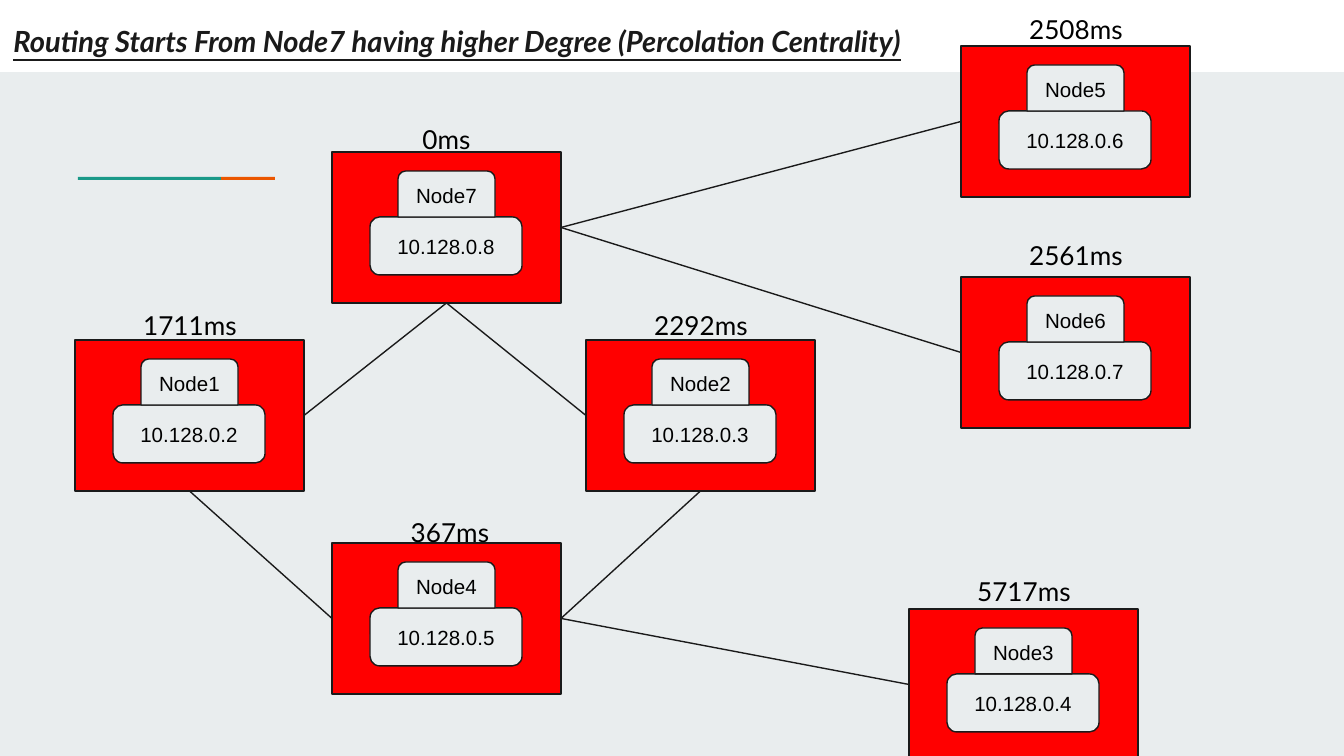
import pptx
import pptx.dml.color
import pptx.enum.shapes
import pptx.enum.text
import pptx.oxml
import pptx.oxml.ns
import pptx.util

PX = 914400 / 134.4
PAGE_WIDTH, PAGE_HEIGHT = 1344, 756
NODE_WIDTH, NODE_HEIGHT = 229, 151
INK, PALE, RED, WHITE, BLACK = "1A1A1A", "E9EDEE", "FF0000", "FFFFFF", "000000"
TEAL, ORANGE = "1A9988", "EB5600"
TOP, LEFT, BOTTOM, RIGHT = range(4)
SHAPES = pptx.enum.shapes.MSO_SHAPE
ALIGN = pptx.enum.text.PP_ALIGN
ANCHOR = pptx.enum.text.MSO_ANCHOR

# name: (left, top, address, delay, label left, label top, label width)
NODES = {
    "Node1": (75, 340, "10.128.0.2", "1711ms", 45, -44, 140),
    "Node4": (332, 543, "10.128.0.5", "367ms", 47, -40, 142),
    "Node7": (332, 152, "10.128.0.8", "0ms", 66, -42, 97),
    "Node2": (586, 340, "10.128.0.3", "2292ms", 45, -44, 140),
    "Node5": (961, 46, "10.128.0.6", "2508ms", 45, -46, 140),
    "Node6": (961, 277, "10.128.0.7", "2561ms", 45, -51, 140),
    "Node3": (909, 609, "10.128.0.4", "5717ms", 45, -47, 140),
}
LINKS = [
    ("Node1", RIGHT, "Node7", BOTTOM),
    ("Node2", LEFT, "Node7", BOTTOM),
    ("Node4", LEFT, "Node1", BOTTOM),
    ("Node4", RIGHT, "Node2", BOTTOM),
    ("Node7", RIGHT, "Node5", LEFT),
    ("Node7", RIGHT, "Node6", LEFT),
    ("Node4", RIGHT, "Node3", LEFT),
]


def px(*lengths):
    return [round(length * PX) for length in lengths]


def color(code):
    return pptx.dml.color.RGBColor.from_string(code)


def write(shape, text, size=11, font="Arial", ink=BLACK, align=ALIGN.CENTER,
          anchor=ANCHOR.MIDDLE, emphasis=False, spacing=1.0):
    frame = shape.text_frame
    frame.word_wrap = True
    frame.auto_size = pptx.enum.text.MSO_AUTO_SIZE.NONE
    frame.vertical_anchor = anchor
    inset = pptx.util.Inches(0.1)
    frame.margin_left = frame.margin_top = inset
    frame.margin_right = frame.margin_bottom = inset
    para = frame.paragraphs[0]
    para.alignment = align
    para.line_spacing = spacing
    span = para.add_run()
    span.text = text
    span.font.size = pptx.util.Pt(size)
    span.font.name = font
    span.font.color.rgb = color(ink)
    span.font.bold = span.font.italic = span.font.underline = emphasis


def add_box(page, box, fill, kind=SHAPES.RECTANGLE, line=None):
    shape = page.shapes.add_shape(kind, *px(*box))
    shape.shadow.inherit = False
    shape.fill.solid()
    shape.fill.fore_color.rgb = color(fill)
    if line:
        shape.line.color.rgb = color(line)
        shape.line.width = pptx.util.Pt(0.75)
    else:
        shape.line.fill.background()
    return shape


def add_header(page, box):
    left, top, width, height = box
    add_box(page, box, WHITE)
    title = page.shapes.title
    title.left, title.top, title.width, title.height = px(left, top + 5, 1130, 79)
    write(title, "Routing Starts From Node7 having higher Degree (Percolation Centrality)",
          size=15.6, font="Lato", ink=INK, align=ALIGN.LEFT, anchor=ANCHOR.TOP,
          emphasis=True, spacing=1.15)
    title.element.getparent().append(title.element)


def add_accent(page, box):
    left, top, width, height = box
    teal_width = 143
    add_box(page, (left, top, teal_width, height), TEAL)
    add_box(page, (left + teal_width, top, width - teal_width, height), ORANGE)


def add_node(page, box, name, address, delay, label_box):
    left, top, width, height = box
    panel = add_box(page, box, RED, line=INK)
    address_box = add_box(page, (left + 38, top + 65, 152, 58), PALE,
                          SHAPES.ROUNDED_RECTANGLE, INK)
    write(address_box, address)
    name_box = add_box(page, (left + 66, top + 19, 97, 46), PALE,
                       SHAPES.ROUND_2_SAME_RECTANGLE, INK)
    write(name_box, name)
    label_left, label_top, label_width = label_box
    label = page.shapes.add_textbox(
        *px(left + label_left, top + label_top, label_width, 59))
    write(label, delay, size=14, font="Lato", anchor=ANCHOR.TOP)
    return panel


def add_link(page, start, start_side, end, end_side):
    link = page.shapes.add_connector(pptx.enum.shapes.MSO_CONNECTOR.STRAIGHT, 0, 0, 0, 0)
    link.begin_connect(start, start_side)
    link.end_connect(end, end_side)
    link.line.color.rgb = color(INK)
    link.line.width = pptx.util.Pt(0.75)
    properties = link.element.find(pptx.oxml.ns.qn("p:spPr"))
    properties.append(pptx.oxml.parse_xml(
        f"<a:effectLst {pptx.oxml.ns.nsdecls('a')}/>"))


def main():
    deck = pptx.Presentation()
    deck.slide_width, deck.slide_height = px(PAGE_WIDTH, PAGE_HEIGHT)
    page = deck.slides.add_slide(deck.slide_layouts[5])
    page.background.fill.solid()
    page.background.fill.fore_color.rgb = color(PALE)

    add_header(page, (0, 0, PAGE_WIDTH, 72))
    add_accent(page, (78, 177, 197, 3))
    panels = {}
    for name, (left, top, address, delay, *label_box) in NODES.items():
        box = (left, top, NODE_WIDTH, NODE_HEIGHT)
        panels[name] = add_node(page, box, name, address, delay, label_box)
    for start, start_side, end, end_side in LINKS:
        add_link(page, panels[start], start_side, panels[end], end_side)

    deck.save("out.pptx")


if __name__ == "__main__":
    main()
